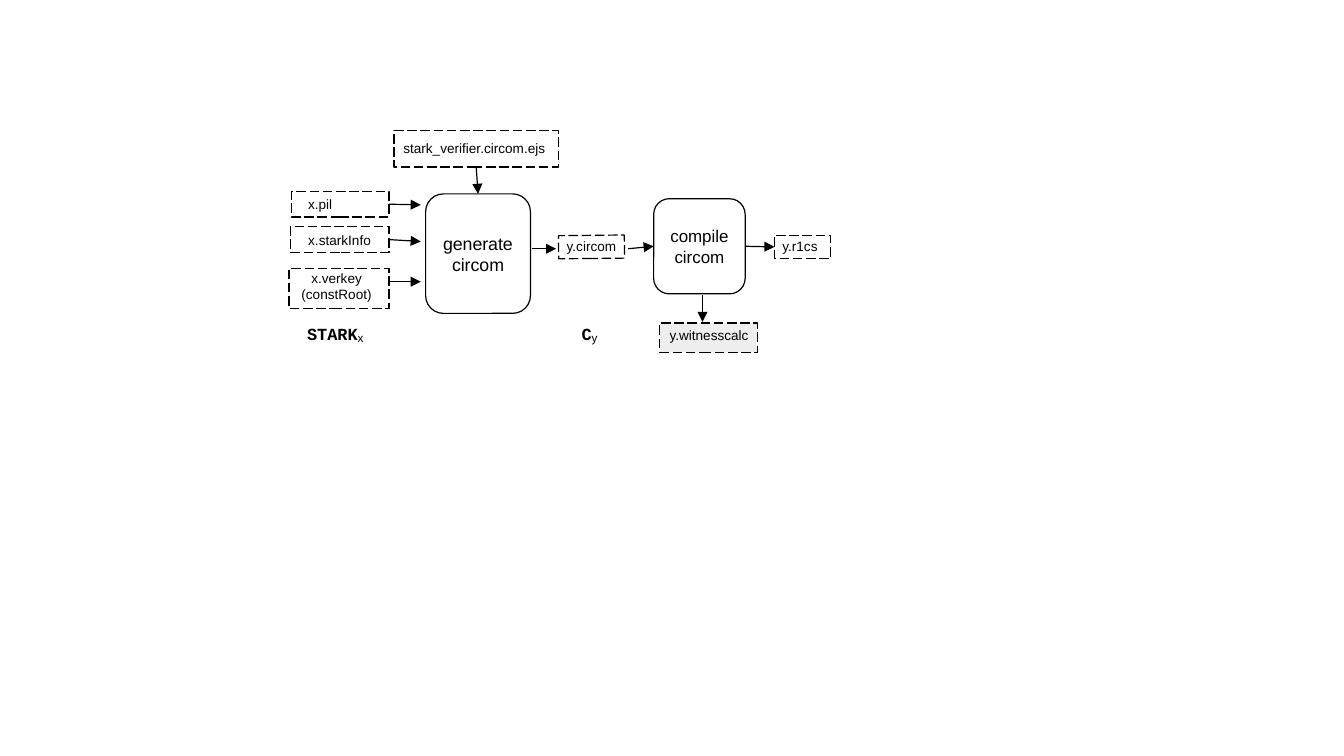
from dataclasses import dataclass

from lxml.etree import SubElement
from pptx import Presentation
from pptx.dml.color import RGBColor
from pptx.enum.dml import MSO_LINE
from pptx.enum.shapes import MSO_CONNECTOR, MSO_SHAPE
from pptx.enum.text import MSO_ANCHOR, PP_ALIGN
from pptx.oxml.ns import qn
from pptx.util import Inches, Pt


@dataclass(frozen=True)
class Theme:
    ink: RGBColor = RGBColor(0x00, 0x00, 0x00)
    paper: RGBColor = RGBColor(0xFF, 0xFF, 0xFF)
    shade: RGBColor = RGBColor(0xEE, 0xEE, 0xEE)
    sans: str = "Arial"
    mono: str = "Courier New"
    file_size: float = 8
    label_size: float = 10
    subscript_size: float = 12
    line_width: float = 0.71


THEME = Theme()

# Process steps: name, place, text, type size
STEPS = [
    ("generate", (3.49, 1.59, 0.86, 0.98), "generate\ncircom", 10.5),
    ("compile", (5.36, 1.63, 0.75, 0.78), "compile\ncircom", 10),
]

# Files: name, frame place, caption place, text, rotation, fill
FILES = [
    ("pil", (2.39, 1.57, 0.8, 0.21), (2.17, 1.5, 0.91, 0.35), "x.pil", 0, None),
    ("stark_info", (2.38, 1.86, 0.81, 0.21), (2.22, 1.86, 1.13, 0.22), "x.starkInfo", 0, None),
    ("verkey", (2.37, 2.2, 0.82, 0.33), (2.22, 2.11, 1.08, 0.47), "x.verkey\n(constRoot)", 0, None),
    ("template", (3.23, 1.07, 1.35, 0.3), (3.12, 1.04, 1.54, 0.35), "stark_verifier.circom.ejs", 0, None),
    ("circom", (4.58, 1.93, 0.54, 0.19), (4.24, 1.84, 1.22, 0.35), "y.circom", -0.6, None),
    ("r1cs", (6.35, 1.93, 0.46, 0.19), (6.08, 1.84, 0.96, 0.35), "y.r1cs", 0, None),
    ("witness", (5.41, 2.65, 0.8, 0.24), (5.35, 2.64, 0.93, 0.22), "y.witnesscalc", 0, THEME.shade),
]

# Arrows: start, end, joined start, joined end (name and side)
ARROWS = [
    ((3.18, 1.68), (3.45, 1.68), ("pil", 3), None),
    ((3.18, 1.98), (3.45, 1.98), ("stark_info", 3), None),
    ((3.18, 2.31), (3.45, 2.31), None, None),
    ((3.9, 1.37), (3.9, 1.59), ("template", 2), ("generate", 0)),
    ((4.36, 2.04), (4.56, 2.04), None, None),
    ((5.15, 2.04), (5.36, 2.04), None, ("compile", 1)),
    ((6.13, 2.03), (6.34, 2.03), ("compile", 3), ("r1cs", 1)),
    ((5.76, 2.42), (5.76, 2.64), None, None),
]

# Stage labels: place, name, subscript
LABELS = [
    ((2.42, 2.58, 1, 0.31), "STARK", "x"),
    ((4.67, 2.58, 0.33, 0.31), "C", "y"),
]


def inches(values):
    return [Inches(value) for value in values]


def apply_format(target, values):
    for name, value in values.items():
        setattr(target, name, value)


def add_run(paragraph, text, size, font=THEME.sans, bold=False):
    run = paragraph.add_run()
    run.text = text
    apply_format(run.font, {"name": font, "size": Pt(size), "bold": bold})
    run.font.color.rgb = THEME.ink
    return run


def write_lines(shape, text, size):
    frame = shape.text_frame
    apply_format(frame, {"word_wrap": True, "vertical_anchor": MSO_ANCHOR.MIDDLE})
    for index, line in enumerate(text.split("\n")):
        paragraph = frame.add_paragraph() if index else frame.paragraphs[0]
        paragraph.alignment = PP_ALIGN.CENTER
        add_run(paragraph, line, size)


def add_box(slide, kind, place, fill=None):
    shape = slide.shapes.add_shape(kind, *inches(place))
    shape.shadow.inherit = False
    if fill is None:
        shape.fill.background()
    else:
        shape.fill.solid()
        shape.fill.fore_color.rgb = fill
    shape.line.color.rgb = THEME.ink
    shape.line.width = Pt(THEME.line_width)
    return shape


def add_step(slide, place, text, size):
    shape = add_box(slide, MSO_SHAPE.ROUNDED_RECTANGLE, place, THEME.paper)
    shape.adjustments[0] = 0.17
    write_lines(shape, text, size)
    return shape


def add_file(slide, frame_place, caption_place, text, rotation, fill):
    frame = add_box(slide, MSO_SHAPE.RECTANGLE, frame_place, fill)
    frame.line.dash_style = MSO_LINE.LONG_DASH
    frame.rotation = rotation
    caption = slide.shapes.add_textbox(*inches(caption_place))
    write_lines(caption, text, THEME.file_size)
    return frame


def add_arrow(slide, start, end, start_join, end_join, boxes):
    arrow = slide.shapes.add_connector(MSO_CONNECTOR.STRAIGHT, *inches(start + end))
    if start_join:
        arrow.begin_connect(boxes[start_join[0]], start_join[1])
    if end_join:
        arrow.end_connect(boxes[end_join[0]], end_join[1])
    arrow.line.color.rgb = THEME.ink
    arrow.line.width = Pt(THEME.line_width)
    properties = arrow._element.spPr
    SubElement(properties.find(qn("a:ln")), qn("a:tailEnd"), type="triangle")
    SubElement(properties, qn("a:effectLst"))


def add_label(slide, place, name, subscript):
    label = slide.shapes.add_textbox(*inches(place))
    label.text_frame.word_wrap = True
    paragraph = label.text_frame.paragraphs[0]
    add_run(paragraph, name, THEME.label_size, THEME.mono, True)
    run = add_run(paragraph, subscript, THEME.subscript_size)
    run._r.get_or_add_rPr().set("baseline", "-8000")


def main():
    presentation = Presentation()
    presentation.slide_width, presentation.slide_height = inches((11.02, 6.2))
    slide = presentation.slides.add_slide(presentation.slide_layouts[6])

    # Steps and files
    boxes = {name: add_step(slide, *step) for name, *step in STEPS}
    boxes.update({name: add_file(slide, *file) for name, *file in FILES})

    # Flow between them
    for arrow in ARROWS:
        add_arrow(slide, *arrow, boxes)

    # Stage labels
    for label in LABELS:
        add_label(slide, *label)

    presentation.save("out.pptx")


if __name__ == "__main__":
    main()
